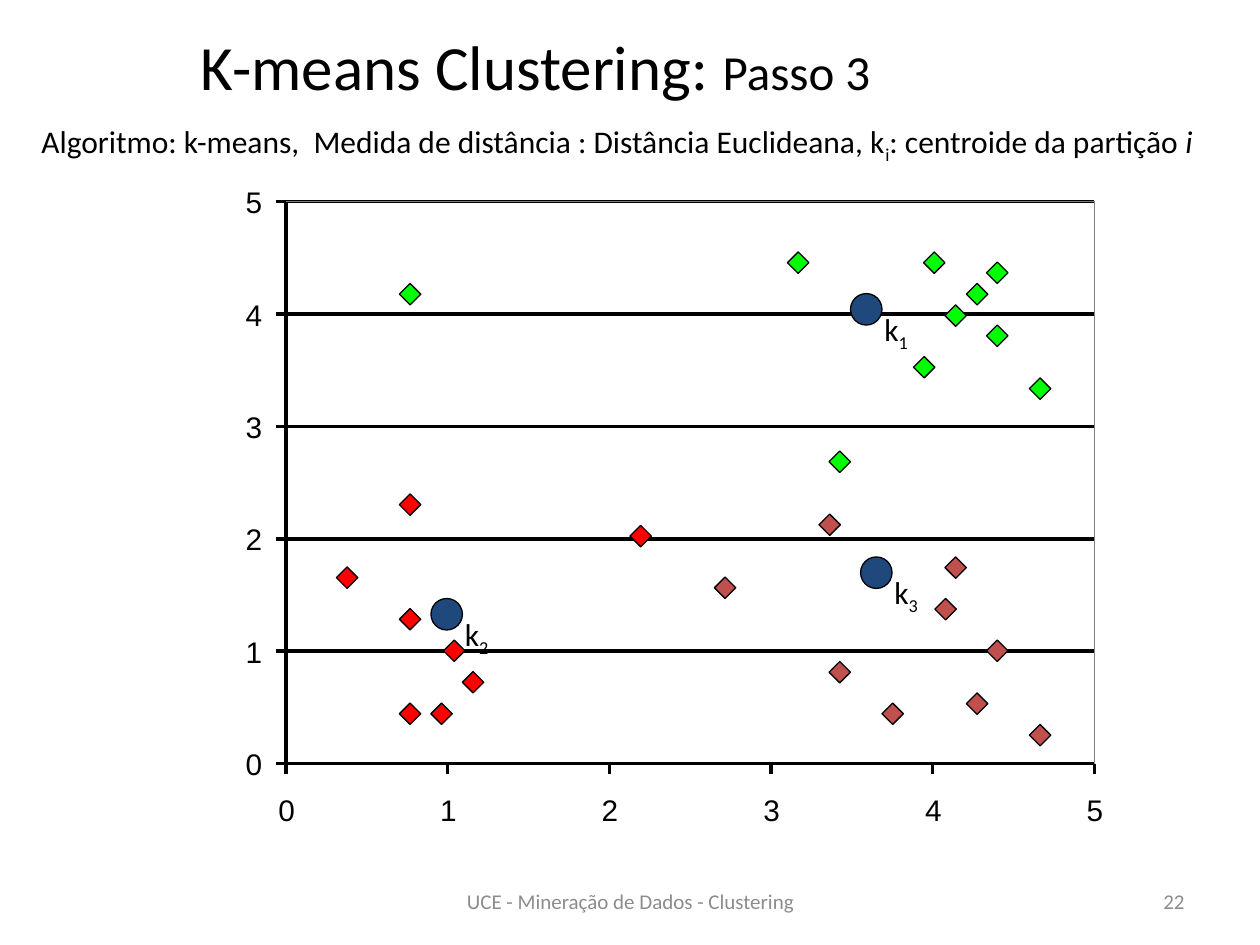
from lxml.etree import SubElement
from pptx import Presentation
from pptx.dml.color import RGBColor
from pptx.enum.shapes import MSO_CONNECTOR, MSO_SHAPE
from pptx.enum.text import MSO_ANCHOR, PP_ALIGN
from pptx.oxml.ns import qn
from pptx.util import Inches, Pt

BLACK = RGBColor(0x00, 0x00, 0x00)
WHITE = RGBColor(0xFF, 0xFF, 0xFF)
FRAME_GRAY = RGBColor(0x80, 0x80, 0x80)
FOOTER_GRAY = RGBColor(0x8C, 0x8C, 0x8C)
NAVY = RGBColor(0x1F, 0x49, 0x7D)
RED = RGBColor(0xFF, 0x00, 0x00)
GREEN = RGBColor(0x00, 0xFF, 0x00)
BRICK = RGBColor(0xC0, 0x50, 0x4D)

PLOT_LEFT, PLOT_TOP, PLOT_WIDTH, PLOT_HEIGHT = 2.27, 1.6, 6.415, 4.46
PLOT_RIGHT, PLOT_BOTTOM = PLOT_LEFT + PLOT_WIDTH, PLOT_TOP + PLOT_HEIGHT
AXIS_MAX = 5
TICK = 0.08
POINT_SIZE = 0.17
CENTROID_SIZE = 0.25

# Left and top of each marker, by cluster colour
CLUSTERS = [
    (RED, [(3.52, 5.08), (3.67, 5.33), (3.42, 5.58), (3.17, 4.83),
           (3.17, 3.92), (3.17, 5.58), (2.67, 4.5), (5, 4.17)]),
    (GREEN, [(3.17, 2.25), (7.33, 2), (7.83, 2.08), (7.67, 2.25), (7.5, 2.42),
             (7.83, 2.58), (8.17, 3), (6.25, 2), (6.58, 3.58), (7.25, 2.83)]),
    (BRICK, [(6.58, 5.25), (7, 5.58), (7.42, 4.75), (6.5, 4.08), (5.67, 4.58),
             (7.83, 5.08), (7.67, 5.5), (7.5, 4.42), (8.17, 5.75)]),
]
CENTROIDS = [("1", 6.75, 2.33), ("2", 3.42, 4.75), ("3", 6.83, 4.42)]


def add_figure(shapes, preset, left, top, width, height,
               fill=None, line=None, line_width=0.75):
    figure = shapes.add_shape(preset, Inches(left), Inches(top),
                              Inches(width), Inches(height))
    figure.shadow.inherit = False
    if fill is None:
        figure.fill.background()
    else:
        figure.fill.solid()
        figure.fill.fore_color.rgb = fill
    if line is None:
        figure.line.fill.background()
    else:
        figure.line.color.rgb = line
        figure.line.width = Pt(line_width)


def add_hairline(shapes, x1, y1, x2, y2):
    hairline = shapes.add_connector(MSO_CONNECTOR.STRAIGHT, Inches(x1),
                                    Inches(y1), Inches(x2), Inches(y2))
    hairline.line.color.rgb = BLACK
    hairline.line.width = Pt(0)
    SubElement(hairline._element.spPr, qn("a:effectLst"))


def add_text(shapes, left, top, width, height, runs, font="Calibri",
             color=BLACK, align=PP_ALIGN.LEFT, anchor=MSO_ANCHOR.TOP,
             wrap=True, inset=True):
    """Each run is (text, size) or (text, size, style), style "sub" or "italic"."""
    box = shapes.add_textbox(Inches(left), Inches(top),
                             Inches(width), Inches(height))
    frame = box.text_frame
    frame.word_wrap = wrap
    frame.vertical_anchor = anchor
    if not inset:
        frame.margin_left = frame.margin_right = 0
        frame.margin_top = frame.margin_bottom = 0
    paragraph = frame.paragraphs[0]
    paragraph.alignment = align
    for text, size, *style in runs:
        run = paragraph.add_run()
        run.text = text
        run.font.name = font
        run.font.size = Pt(size)
        run.font.color.rgb = color
        if "italic" in style:
            run.font.italic = True
        if "sub" in style:
            run._r.get_or_add_rPr().set("baseline", "-25000")


def add_axis_label(shapes, left, top, value):
    add_text(shapes, left, top, 0.23, 0.31, [(str(value), 17)],
             font="Arial", wrap=False, inset=False)


def add_plot_area(shapes):
    bounds = (PLOT_LEFT, PLOT_TOP, PLOT_WIDTH, PLOT_HEIGHT)
    levels = [(value, PLOT_LEFT + value * PLOT_WIDTH / AXIS_MAX,
               PLOT_BOTTOM - value * PLOT_HEIGHT / AXIS_MAX)
              for value in range(AXIS_MAX + 1)]

    add_figure(shapes, MSO_SHAPE.RECTANGLE, *bounds, fill=WHITE)
    for _, _, y in levels[1:]:
        add_hairline(shapes, PLOT_LEFT, y, PLOT_RIGHT, y)
    add_figure(shapes, MSO_SHAPE.RECTANGLE, *bounds,
               line=FRAME_GRAY, line_width=0.63)

    add_hairline(shapes, PLOT_LEFT, PLOT_TOP, PLOT_LEFT, PLOT_BOTTOM)
    add_hairline(shapes, PLOT_LEFT, PLOT_BOTTOM, PLOT_RIGHT, PLOT_BOTTOM)
    for value, x, y in levels:
        add_hairline(shapes, PLOT_LEFT - TICK, y, PLOT_LEFT, y)
        add_hairline(shapes, x, PLOT_BOTTOM + TICK, x, PLOT_BOTTOM)
        add_axis_label(shapes, 1.95, y - 0.14, value)
        add_axis_label(shapes, x - 0.06, 6.28, value)


def add_centroid(shapes, index, left, top):
    members = shapes.add_group_shape().shapes
    add_figure(members, MSO_SHAPE.OVAL, left, top, CENTROID_SIZE,
               CENTROID_SIZE, fill=NAVY, line=BLACK)
    add_text(members, left + 0.17, top + 0.08, 0.58, 0.5,
             [("k", 18), (index, 18, "sub")])


def add_points(shapes, color, positions):
    for left, top in positions:
        add_figure(shapes, MSO_SHAPE.DIAMOND, left, top, POINT_SIZE,
                   POINT_SIZE, fill=color, line=BLACK)


def add_headings(shapes):
    add_text(shapes, 0, 0.23, 8.5, 0.58,
             [("K-means Clustering: ", 36), ("Passo 3", 28)],
             align=PP_ALIGN.CENTER, anchor=MSO_ANCHOR.MIDDLE)
    add_text(shapes, 0.23, 0.92, 9.65, 0.4,
             [("Algoritmo: k-means,  Medida de distância : "
               "Distância Euclideana, k", 18),
              ("i", 18, "sub"),
              (": centroide da partição ", 18),
              ("i", 18, "italic")], wrap=False)


def add_footer(shapes):
    add_text(shapes, 7.17, 6.95, 2.33, 0.4, [("22", 12)], color=FOOTER_GRAY,
             align=PP_ALIGN.RIGHT, anchor=MSO_ANCHOR.MIDDLE)
    add_text(shapes, 3.42, 6.95, 3.17, 0.4,
             [("UCE - Mineração de Dados - Clustering", 12)],
             color=FOOTER_GRAY, align=PP_ALIGN.CENTER,
             anchor=MSO_ANCHOR.MIDDLE)


def main():
    deck = Presentation()
    deck.slide_width, deck.slide_height = Inches(10), Inches(7.5)
    shapes = deck.slides.add_slide(deck.slide_layouts[6]).shapes

    add_plot_area(shapes)
    for index, left, top in CENTROIDS:
        add_centroid(shapes, index, left, top)
    for color, positions in CLUSTERS:
        add_points(shapes, color, positions)
    add_headings(shapes)
    add_footer(shapes)

    deck.save("out.pptx")


if __name__ == "__main__":
    main()
